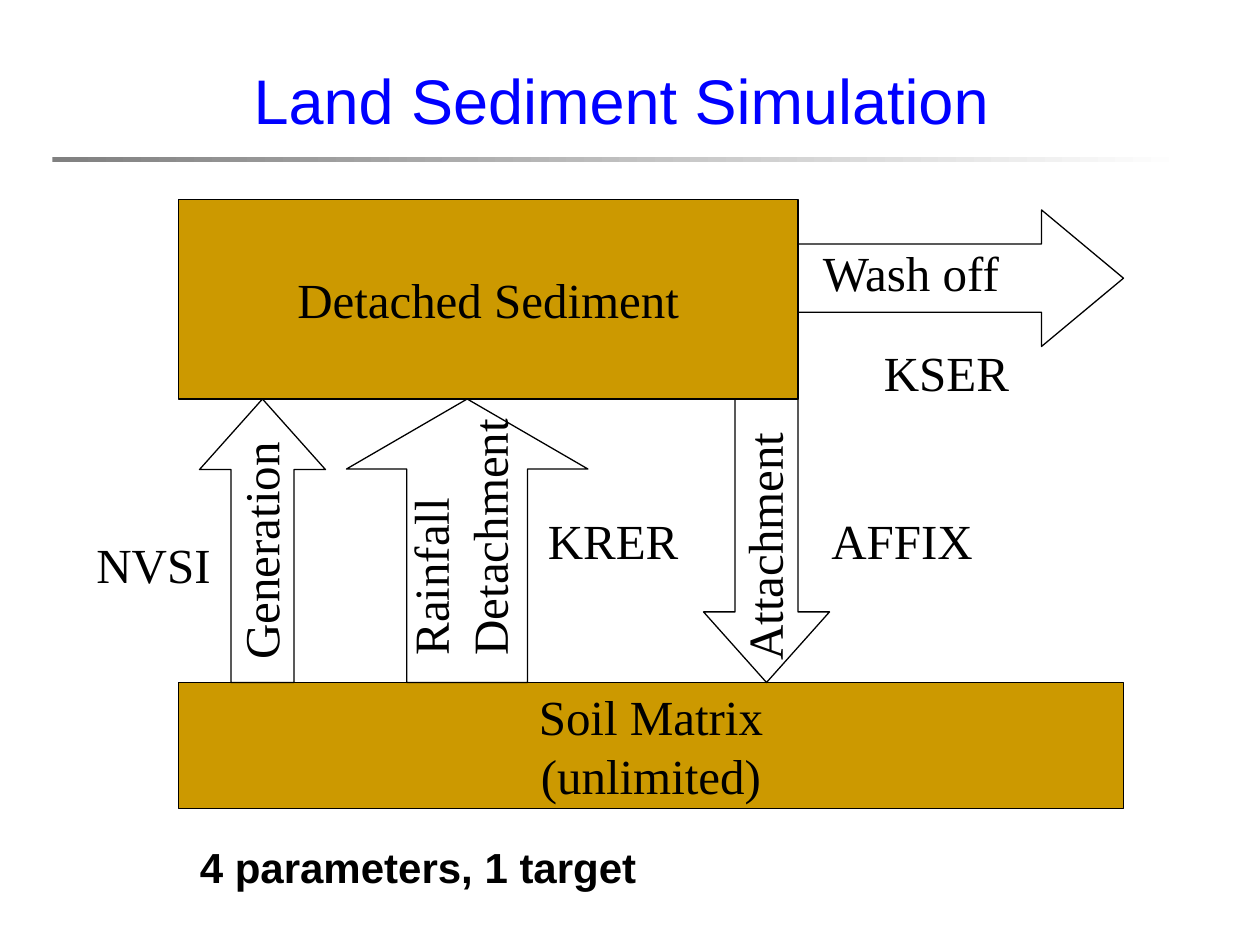
import pptx
import pptx.util
import pptx.dml.color
import pptx.enum.shapes
import pptx.enum.text

UNIT = 1 / 12
SERIF = "Times New Roman"
KIND = pptx.enum.shapes.MSO_SHAPE
ALIGN = pptx.enum.text.PP_ALIGN
FIT = pptx.enum.text.MSO_AUTO_SIZE
MID = pptx.enum.text.MSO_ANCHOR.MIDDLE


def tint(code):
    """Turn a hex string into a colour."""
    return pptx.dml.color.RGBColor.from_string(code)


def place(area, turn=0):
    """Turn grid columns and rows into a frame that looks right once turned."""
    col, row, wide, high = area
    if turn % 180:
        col, row = col + (wide - high) / 2, row + (high - wide) / 2
        wide, high = high, wide
    return [pptx.util.Inches(n * UNIT) for n in (col, row, wide, high)]


def write(frame, lines, size=28, face=SERIF, color="000000", bold=False, align=ALIGN.LEFT):
    """Fill a text frame with one run per line."""
    for i, line in enumerate(lines):
        para = frame.paragraphs[0] if i == 0 else frame.add_paragraph()
        para.alignment = align
        run = para.add_run()
        run.text = line
        run.font.size = pptx.util.Pt(size)
        run.font.name = face
        run.font.bold = bold
        run.font.color.rgb = tint(color)


def head(slide, text, area):
    """Move and format the title."""
    title = slide.shapes.title
    title.left, title.top, title.width, title.height = place(area)
    frame = title.text_frame
    frame.auto_size = FIT.NONE
    frame.vertical_anchor = MID
    write(frame, [text], 36, "Arial", "0000FF")


def label(shapes, lines, area, turn=0, **style):
    """Add a text box, turned if asked."""
    box = shapes.add_textbox(*place(area, turn))
    box.rotation = turn
    box.text_frame.word_wrap = False
    box.text_frame.auto_size = FIT.SHAPE_TO_FIT_TEXT
    write(box.text_frame, lines, **style)


def edge(shape):
    """Give a shape a thin black line and no shadow."""
    shape.shadow.inherit = False
    shape.line.color.rgb = tint("000000")
    shape.line.width = pptx.util.Pt(0.75)


def store(slide, lines, area):
    """Add a filled box that holds sediment."""
    box = slide.shapes.add_shape(KIND.RECTANGLE, *place(area))
    edge(box)
    box.fill.solid()
    box.fill.fore_color.rgb = tint("CC9900")
    box.text_frame.word_wrap = False
    box.text_frame.vertical_anchor = MID
    write(box.text_frame, lines, align=ALIGN.CENTER)


def flow(slide, lines, area, inner, tip, turn=0):
    """Add a group of a block arrow and its name."""
    group = slide.shapes.add_group_shape()
    arrow = group.shapes.add_shape(KIND.RIGHT_ARROW, *place(area, turn))
    arrow.rotation = turn
    arrow.adjustments[0] = 0.5
    arrow.adjustments[1] = tip
    arrow.fill.background()
    edge(arrow)
    label(group.shapes, lines, inner, 270 if turn else 0)


def rule(slide, area):
    """Add the fading bar below the title."""
    bar = slide.shapes.add_shape(KIND.RECTANGLE, *place(area))
    bar.shadow.inherit = False
    bar.line.fill.background()
    bar.fill.gradient()
    bar.fill.gradient_angle = 0
    for stop, code in zip(bar.fill.gradient_stops, ("808080", "FFFFFF")):
        stop.color.rgb = tint(code)


def main():
    """Build the slide and save it."""
    deck = pptx.Presentation()
    deck.slide_width = pptx.util.Inches(10)
    deck.slide_height = pptx.util.Inches(7.5)
    slide = deck.slides.add_slide(deck.slide_layouts[5])
    head(slide, "Land Sediment Simulation", (22.95, 4, 80, 11))
    store(slide, ["Detached Sediment"], (17, 19, 59, 19))
    store(slide, ["Soil Matrix", "(unlimited)"], (17, 65, 90, 12))
    flow(slide, ["Wash off"], (76, 20, 31, 13), (77.2, 22.5, 19.9, 6.8), 0.6)
    flow(slide, ["Rainfall", "Detachment"], (33, 38, 23, 27),
         (37.5, 38.2, 12.5, 25.4), 0.29, 270)
    flow(slide, ["Attachment"], (67, 38, 12, 27), (69.3, 39.7, 6.8, 24.4), 0.56, 90)
    flow(slide, ["Generation"], (19, 38, 12, 27), (21.35, 40.4, 6.8, 23.6), 0.56, 270)
    for name, col, row, wide in (("KSER", 83, 32, 14.7), ("KRER", 51, 48, 15),
                                 ("AFFIX", 78, 48, 16.2), ("NVSI", 8, 50.3, 13.6)):
        label(slide.shapes, [name], (col, row, wide, 6.8))
    label(slide.shapes, ["4 parameters, 1 target"], (17.85, 79.6, 44.4, 6),
          size=24, face="Arial", bold=True)
    rule(slide, (5, 14.95, 108, 0.45))
    deck.save("out.pptx")


if __name__ == "__main__":
    main()
